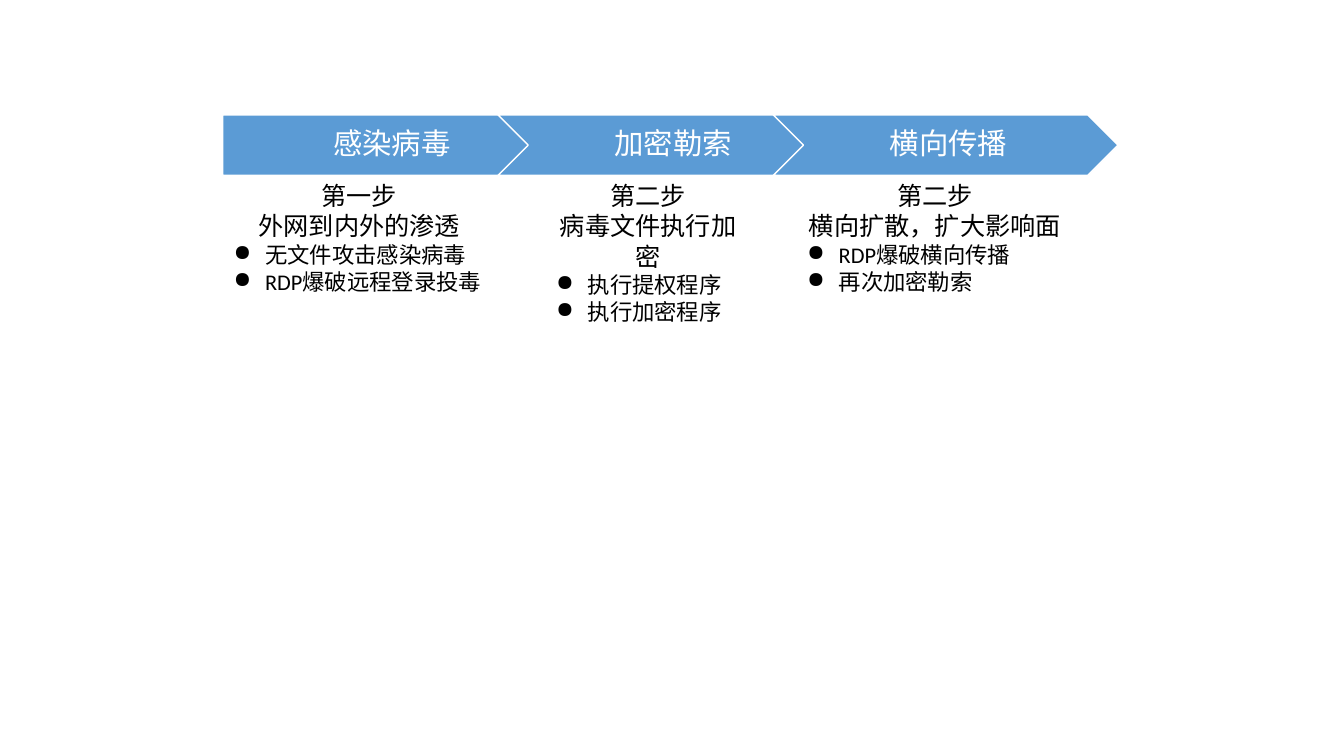
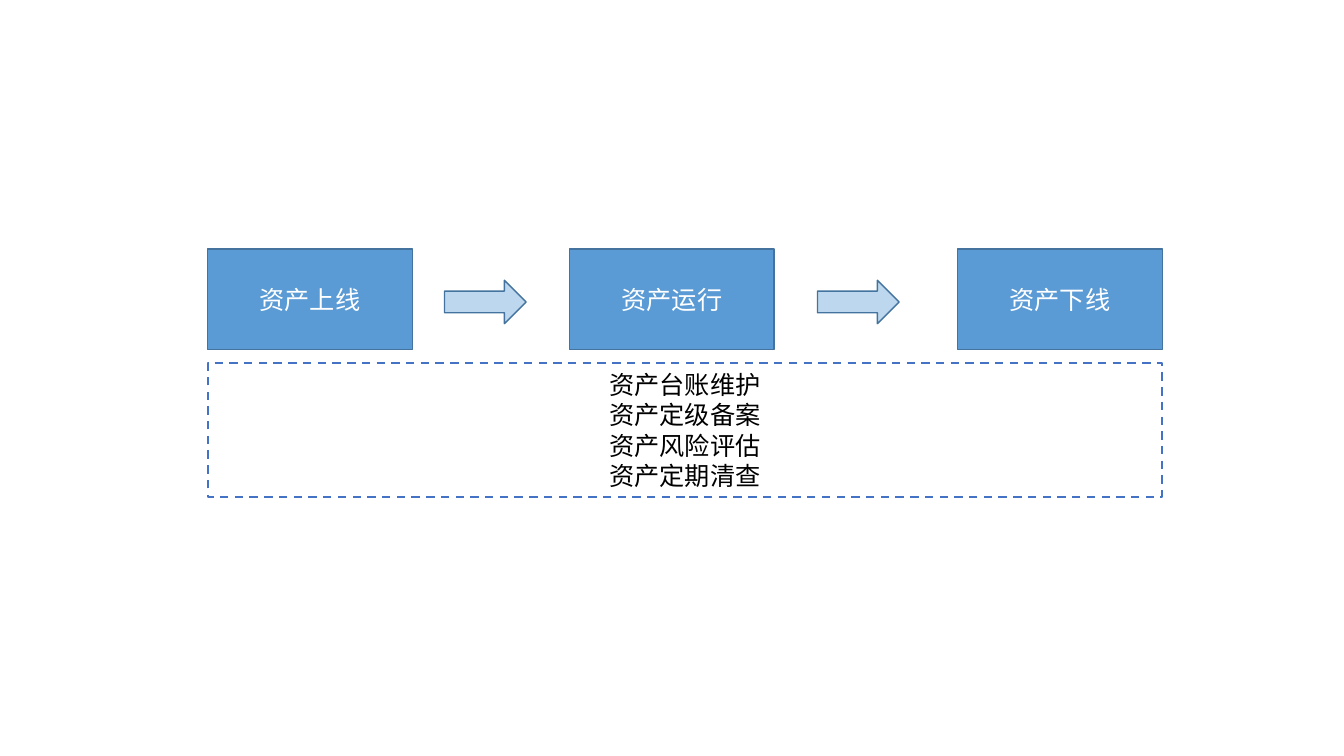
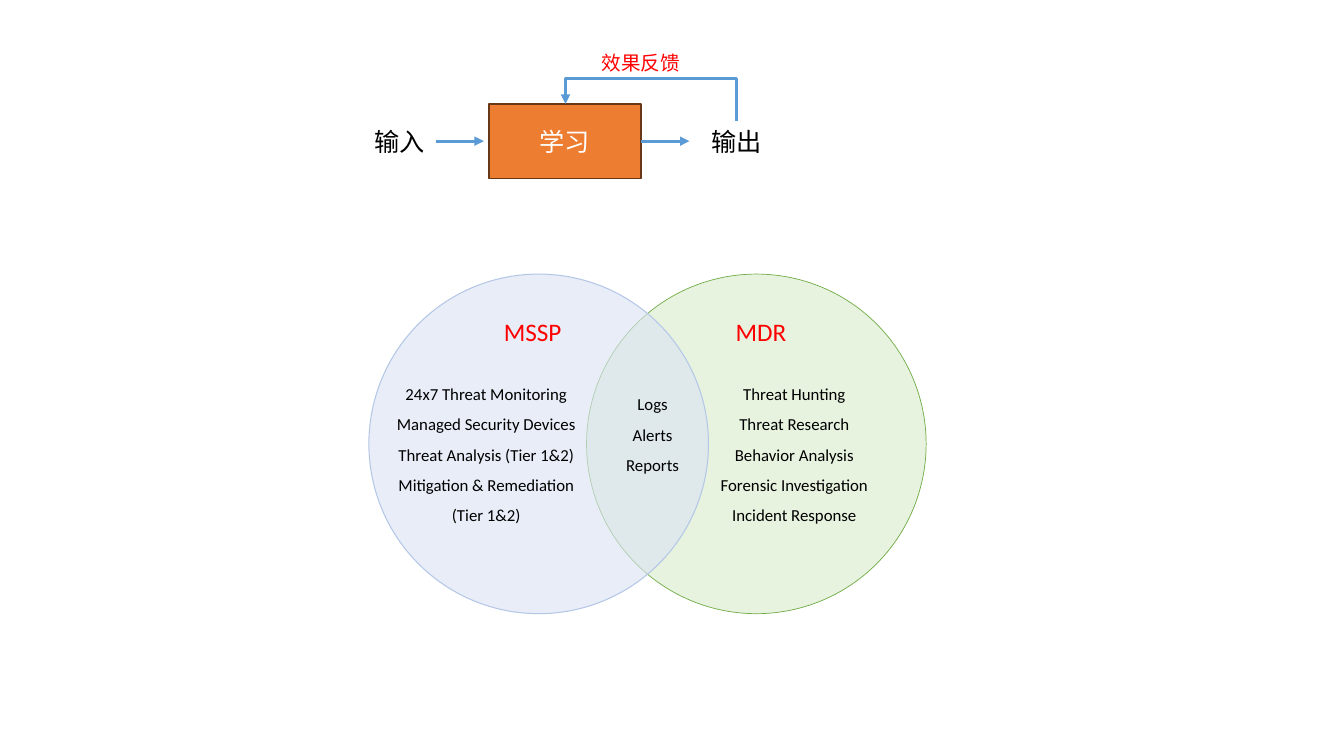
import pptx
import pptx.util
import pptx.dml.color
import pptx.enum.dml
import pptx.enum.shapes
import pptx.enum.text
import pptx.oxml
import pptx.oxml.ns

Pt = pptx.util.Pt
qn = pptx.oxml.ns.qn
SHAPE = pptx.enum.shapes.MSO_SHAPE
CONNECTOR = pptx.enum.shapes.MSO_CONNECTOR
ALIGN = pptx.enum.text.PP_ALIGN
ANCHOR = pptx.enum.text.MSO_ANCHOR

FONT = "Calibri"
COLORS = {
    "blue": "5B9BD5", "blue_edge": "43739E", "pale_blue": "BDD7EE", "dash": "4472C4",
    "orange": "ED7D31", "orange_edge": "683715", "green": "E2F0D9", "green_edge": "70AD47",
    "lilac": "DAE3F3", "lilac_edge": "B4C7E7", "white": "FFFFFF", "black": "000000", "red": "FF0000",
}

ATTACK_STEPS = [
    ("感染病毒", ["第一步", "外网到内外的渗透"], ["无文件攻击感染病毒", "RDP爆破远程登录投毒"], 159.8, 193.7),
    ("加密勒索", ["第二步", "病毒文件执行加密"], ["执行提权程序", "执行加密程序"], 390.2, 145.5),
    ("横向传播", ["第二步", "横向扩散，扩大影响面"], ["RDP爆破横向传播", "再次加密勒索"], 569.5, 196.6),
]
ASSET_STAGES = [("资产上线", 148.3), ("资产运行", 406.8), ("资产下线", 684)]
ASSET_ARROWS = [317.5, 583.9]
ASSET_TASKS = ["资产台账维护", "资产定级备案", "资产风险评估", "资产定期清查"]

LOOP_LABELS = [
    (["输入"], (260.6, 86.4, 51.1, 28.8), 18, "black"),
    (["输出"], (501.1, 86.4, 51.1, 28.8), 18, "black"),
    (["效果反馈"], (422.6, 33.1, 71.3, 24.5), 14, "red"),
    (["MSSP"], (352.8, 222.5, 56.2, 28.8), 18, "red"),
    (["MDR"], (518.4, 222.5, 51.1, 28.8), 18, "red"),
]
LOOP_ARROWS = [(311.8, 345.6), (457.9, 492.5)]
CIRCLES = [(419, "green", "green_edge", 0.5, 82), (263.5, "lilac", "lilac_edge", 0.75, 61)]
SERVICES = [
    (["Logs", "Alerts", "Reports"], (439.9, 270.7, 52.6, 70.6), False),
    (["Threat Hunting", "Threat Research", "Behavior Analysis", "Forensic Investigation",
      "Incident Response"], (506.9, 263.5, 121, 113.8), False),
    (["24x7 Threat Monitoring", "Managed Security Devices", "Threat Analysis (Tier 1&2)",
      "Mitigation & Remediation", "(Tier 1&2)"], (262.1, 263.5, 170.6, 113.8), True),
]


def rgb(name):
    return pptx.dml.color.RGBColor.from_string(COLORS[name])


def add_text(sp, lines, size=18, color="black", align=ALIGN.CENTER, anchor=ANCHOR.MIDDLE,
             wrap=True, spacing=None, bullets=(), bullet_size=16, insets=None):
    tf = sp.text_frame
    tf.word_wrap = wrap
    tf.vertical_anchor = anchor
    if insets:
        tf.margin_left, tf.margin_right = map(Pt, insets)
    for i, line in enumerate([*lines, *bullets]):
        bulleted = i >= len(lines)
        p = tf.paragraphs[0] if i == 0 else tf.add_paragraph()
        p.alignment = ALIGN.LEFT if bulleted else align
        if spacing:
            p.line_spacing = spacing
        if bulleted:
            pPr = p._p.get_or_add_pPr()
            pPr.set("marL", str(Pt(22.5)))
            pPr.set("indent", str(-Pt(22.5)))
            pptx.oxml.ns.qn("a:buChar")
            bu = pPr.makeelement(qn("a:buChar"), {"char": "●"})
            pPr.append(bu)
        r = p.add_run()
        r.text = line
        r.font.name = FONT
        r.font.size = Pt(bullet_size if bulleted else size)
        r.font.color.rgb = rgb(color)


def add_box(s, kind, box, fill, edge, width=1, opacity=None):
    sp = s.shapes.add_shape(kind, *map(Pt, box))
    sp.shadow.inherit = False
    sp.fill.solid()
    sp.fill.fore_color.rgb = rgb(fill)
    if opacity:
        clr = sp.element.spPr.find(qn("a:solidFill"))[0]
        clr.append(clr.makeelement(qn("a:alpha"), {"val": str(opacity * 1000)}))
    sp.line.color.rgb = rgb(edge)
    sp.line.width = Pt(width)
    return sp


def add_label(s, lines, box, **fmt):
    add_text(s.shapes.add_textbox(*map(Pt, box)), lines, anchor=ANCHOR.TOP, **fmt)


def add_arrow(s, kind, x1, y1, x2, y2):
    cx = s.shapes.add_connector(kind, Pt(x1), Pt(y1), Pt(x2), Pt(y2))
    cx.line.color.rgb = rgb("blue")
    cx.line.width = Pt(2.25)
    spPr = cx.element.spPr
    ln = spPr.find(qn("a:ln"))
    ln.append(ln.makeelement(qn("a:tailEnd"), {"type": "triangle"}))
    spPr.append(spPr.makeelement(qn("a:effectLst"), {}))
    return cx


def add_feedback(s, x1, y1, x2, y2, top):
    mid_x, mid_y = (x1 + x2) / 2, (y1 + y2) / 2
    half_w, half_h = (y1 - y2) / 2, (x1 - x2) / 2
    cx = add_arrow(s, CONNECTOR.ELBOW, mid_x - half_w, mid_y + half_h, mid_x + half_w, mid_y - half_h)
    spPr = cx.element.spPr
    spPr.find(qn("a:xfrm")).set("rot", str(270 * 60000))
    geom = spPr.find(qn("a:prstGeom"))
    av = geom.find(qn("a:avLst"))
    if av is None:
        av = geom.makeelement(qn("a:avLst"), {})
        geom.append(av)
    bend = round((y1 - top) / (y1 - y2) * 100000)
    av.append(av.makeelement(qn("a:gd"), {"name": "adj1", "fmla": f"val {bend}"}))


def attack_slide(s):
    for i, (name, heading, bullets, x, w) in enumerate(ATTACK_STEPS):
        kind = SHAPE.CHEVRON if i else SHAPE.PENTAGON
        sp = add_box(s, kind, (159.1 + i * 196.6, 82.1, 246.2, 43.2), "blue", "white")
        add_text(sp, [name], size=21, color="white", spacing=0.9, insets=(6.5 if i else 8.6, 2.2))
        add_label(s, heading, (x, 125.3, w, 90), bullets=bullets)


def asset_slide(s):
    for name, x in ASSET_STAGES:
        sp = add_box(s, SHAPE.RECTANGLE, (x, 177.8, 146.2, 72), "blue", "blue_edge")
        add_text(sp, [name], color="white")
    for x in ASSET_ARROWS:
        add_box(s, SHAPE.RIGHT_ARROW, (x, 200.2, 58.3, 31), "pale_blue", "blue_edge")
    panel = add_box(s, SHAPE.RECTANGLE, (148.3, 259.2, 681.8, 95.8), "white", "dash", 1.5)
    panel.line.dash_style = pptx.enum.dml.MSO_LINE.DASH
    add_text(panel, ASSET_TASKS)


def learning_slide(s):
    sp = add_box(s, SHAPE.RECTANGLE, (349.2, 74.2, 108.7, 53.3), "orange", "orange_edge")
    add_text(sp, ["学习"], color="white")
    for x1, x2 in LOOP_ARROWS:
        add_arrow(s, CONNECTOR.STRAIGHT, x1, 100.8, x2, 100.8)
    add_feedback(s, 526.3, 86.4, 403.9, 74.2, 56)
    for x, fill, edge, width, opacity in CIRCLES:
        add_box(s, SHAPE.OVAL, (x, 195.8, 242.6, 242.6), fill, edge, width, opacity)
    for lines, box, wrap in SERVICES:
        add_label(s, lines, box, size=12, spacing=1.5, wrap=wrap)
    for lines, box, size, color in LOOP_LABELS:
        add_label(s, lines, box, size=size, color=color, align=ALIGN.LEFT, wrap=False)


prs = pptx.Presentation()
prs.slide_width, prs.slide_height = Pt(960), Pt(540)
for build in (attack_slide, asset_slide, learning_slide):
    build(prs.slides.add_slide(prs.slide_layouts[6]))
prs.save("out.pptx")
